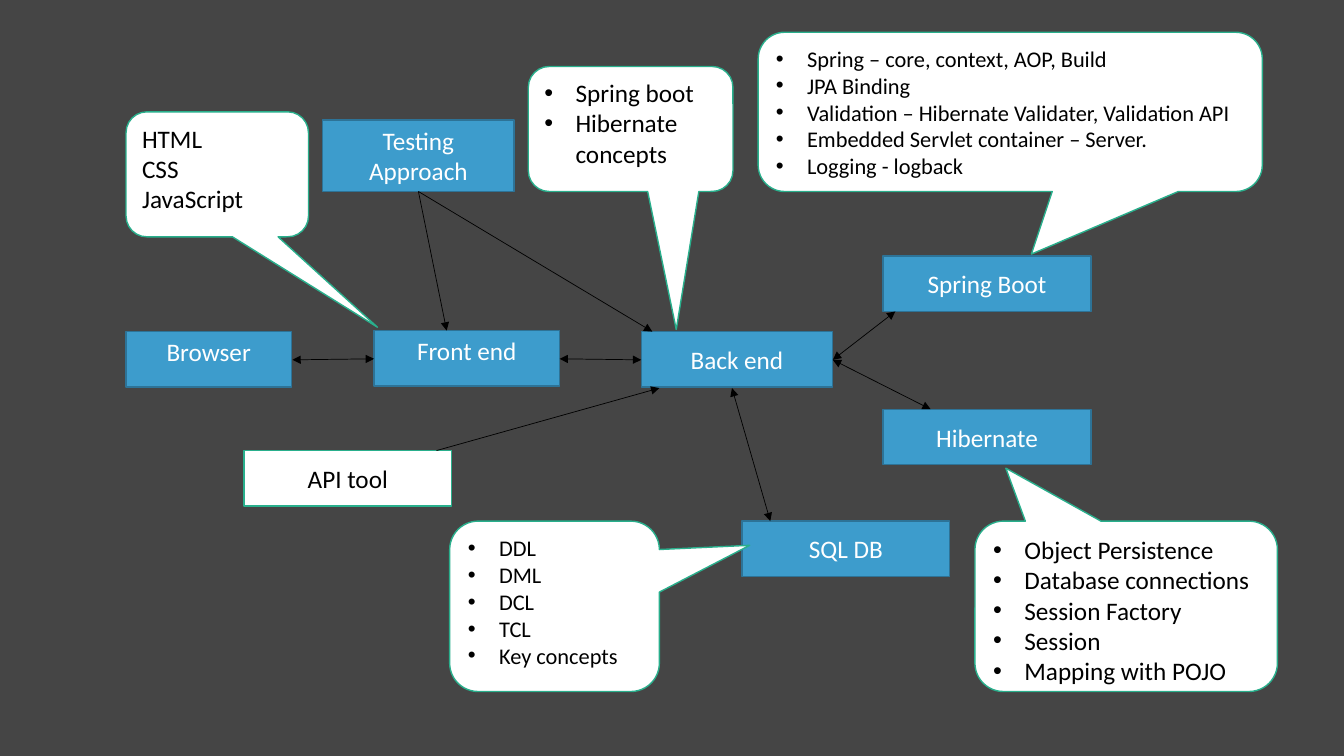
from lxml.etree import SubElement
from pptx import Presentation
from pptx.dml.color import RGBColor
from pptx.enum.shapes import MSO_CONNECTOR as Connector, MSO_SHAPE as Shape
from pptx.enum.text import MSO_ANCHOR as Anchor, PP_ALIGN as Align
from pptx.oxml.ns import qn
from pptx.util import Pt

PX = 9144
WHITE, BLACK = "FFFFFF", "000000"
BLUE, DARK_BLUE, GREEN = "3D9CCC", "2D7397", "29AF8C"


def paint(fill, color):
    fill.solid()
    fill.fore_color.rgb = RGBColor.from_string(color)


def add_text(box, text, size=18, color=BLACK, align=Align.LEFT,
             anchor=Anchor.TOP, bullets=False):
    frame = box.text_frame
    frame.word_wrap = True
    frame.vertical_anchor = anchor
    frame.text = text
    for para in frame.paragraphs:
        para.alignment = align
        for span in para.runs:
            span.font.name = "Calibri"
            span.font.size = Pt(size)
            paint(span.font.fill, color)
        if bullets:
            properties = para._p.get_or_add_pPr()
            properties.set("marL", str(31 * PX))
            properties.set("indent", str(-31 * PX))
            SubElement(properties, qn("a:buFont"), typeface="Arial")
            SubElement(properties, qn("a:buChar"), char="•")


deck = Presentation()
deck.slide_width, deck.slide_height = 1333 * PX, 750 * PX
page = deck.slides.add_slide(deck.slide_layouts[6])
paint(page.background.fill, "454545")

components = [
    ("Browser", 125, 329, 164, 55, Anchor.TOP, BLUE, DARK_BLUE, WHITE),
    ("Front end", 371, 328, 184, 55, Anchor.TOP, BLUE, DARK_BLUE, WHITE),
    ("Back end", 636, 329, 190, 55, Anchor.MIDDLE, BLUE, DARK_BLUE, WHITE),
    ("API tool", 242, 447, 206, 55, Anchor.MIDDLE, WHITE, GREEN, BLACK),
    ("Hibernate", 876, 406, 206, 55, Anchor.MIDDLE, BLUE, DARK_BLUE, WHITE),
    ("Spring Boot", 876, 254, 206, 55, Anchor.MIDDLE, BLUE, DARK_BLUE, WHITE),
    ("SQL DB", 736, 517, 206, 55, Anchor.MIDDLE, BLUE, DARK_BLUE, WHITE),
    ("Testing Approach", 320, 119, 190, 71, Anchor.TOP, BLUE, DARK_BLUE, WHITE),
]
for label, left, top, width, height, anchor, fill, outline, color in components:
    box = page.shapes.add_shape(Shape.RECTANGLE, left * PX, top * PX,
                                width * PX, height * PX)
    box.shadow.inherit = False
    paint(box.fill, fill)
    paint(box.line.fill, outline)
    box.line.width = Pt(1)
    add_text(box, label, color=color, align=Align.CENTER, anchor=anchor)

callouts = [
    (125, 111, 181, 124, 0.878, 1.223, 18, False,
     ["HTML", "CSS", "JavaScript"]),
    (524, 66, 203, 124, 0.223, 1.604, 18, True,
     ["Spring boot", "Hibernate concepts"]),
    (752, 32, 500, 158, 0.042, 0.893, 16, True,
     ["Spring – core, context, AOP, Build", "JPA Binding",
      "Validation – Hibernate Validater, Validation API",
      "Embedded Servlet container – Server.", "Logging - logback"]),
    (967, 517, 300, 169, -0.398, -0.811, 18, True,
     ["Object Persistence", "Database connections", "Session Factory",
      "Session", "Mapping with POJO"]),
    (446, 517, 208, 169, 0.931, -0.358, 16, True,
     ["DDL", "DML", "DCL", "TCL", "Key concepts"]),
]
for left, top, width, height, tip_x, tip_y, size, bullets, topics in callouts:
    callout = page.shapes.add_shape(Shape.ROUNDED_RECTANGULAR_CALLOUT, left * PX,
                                    top * PX, width * PX, height * PX)
    callout.adjustments[0] = tip_x
    callout.adjustments[1] = tip_y
    callout.shadow.inherit = False
    paint(callout.fill, WHITE)
    paint(callout.line.fill, GREEN)
    callout.line.width = Pt(1)
    add_text(callout, "\n".join(topics), size=size, bullets=bullets)

both_ends, far_end = ("headEnd", "tailEnd"), ("tailEnd",)
arrows = [
    (290, 357, 371, 356, both_ends),
    (555, 356, 636, 357, both_ends),
    (433, 447, 654, 385, far_end),
    (764, 517, 726, 385, both_ends),
    (826, 357, 888, 309, both_ends),
    (826, 357, 923, 406, both_ends),
    (415, 190, 443, 328, far_end),
    (415, 190, 647, 329, far_end),
]
for start_x, start_y, end_x, end_y, ends in arrows:
    arrow = page.shapes.add_connector(Connector.STRAIGHT, start_x * PX,
                                      start_y * PX, end_x * PX, end_y * PX)
    paint(arrow.line.fill, BLACK)
    arrow.line.width = Pt(0.5)
    for end in ends:
        SubElement(arrow.line._get_or_add_ln(), qn(f"a:{end}"), type="triangle")
    SubElement(arrow._element.spPr, qn("a:effectLst"))

deck.save("out.pptx")
